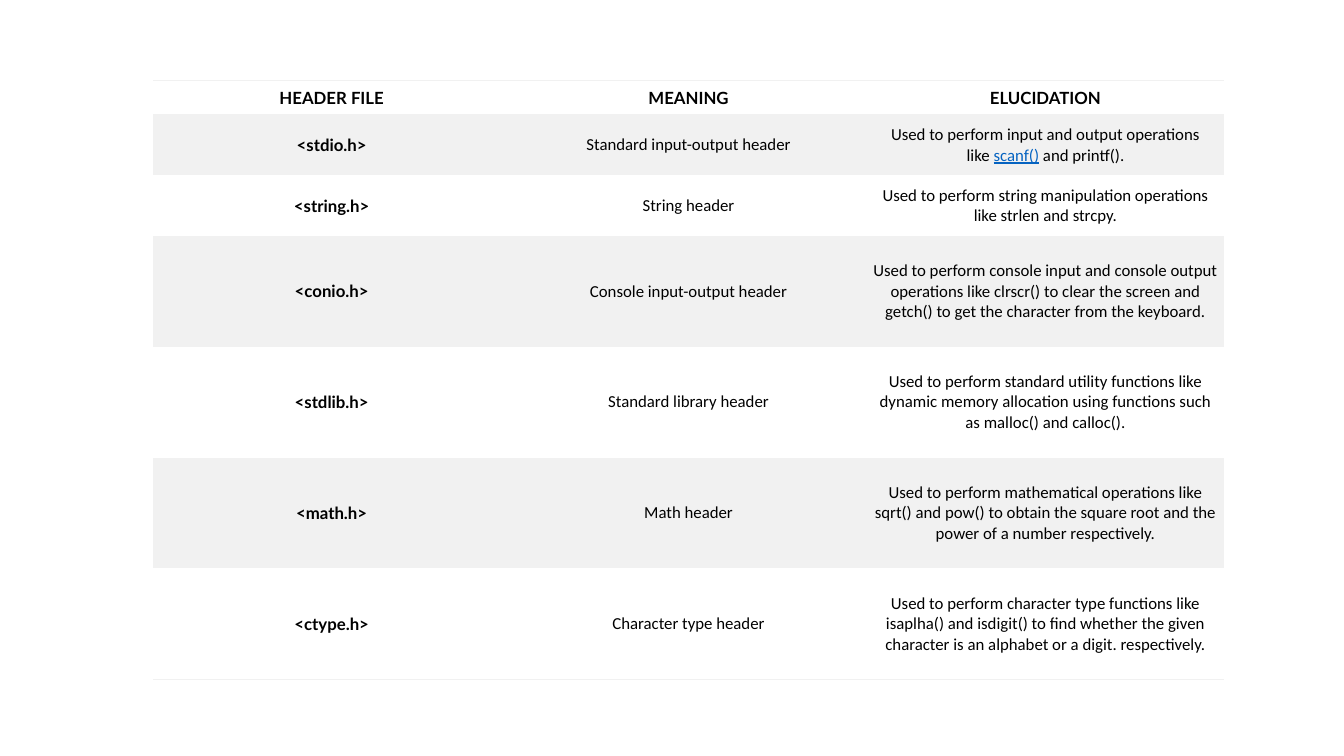
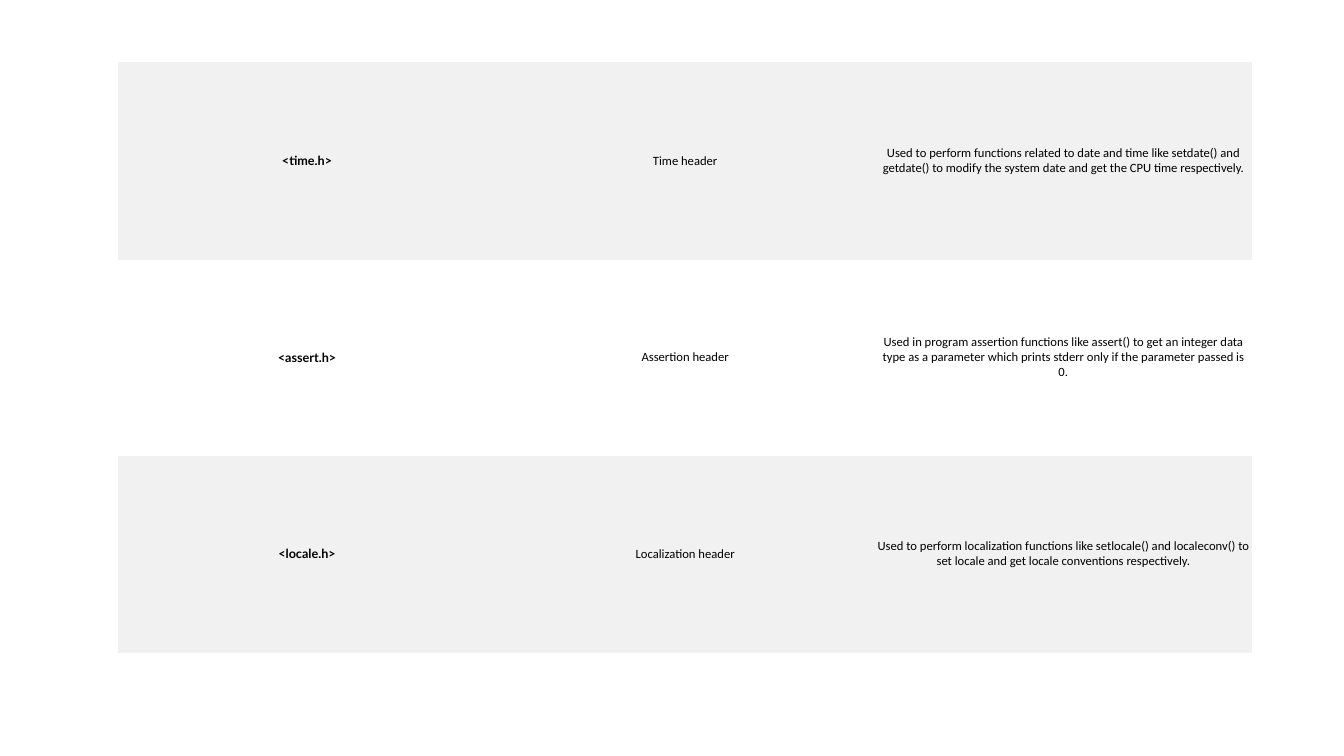
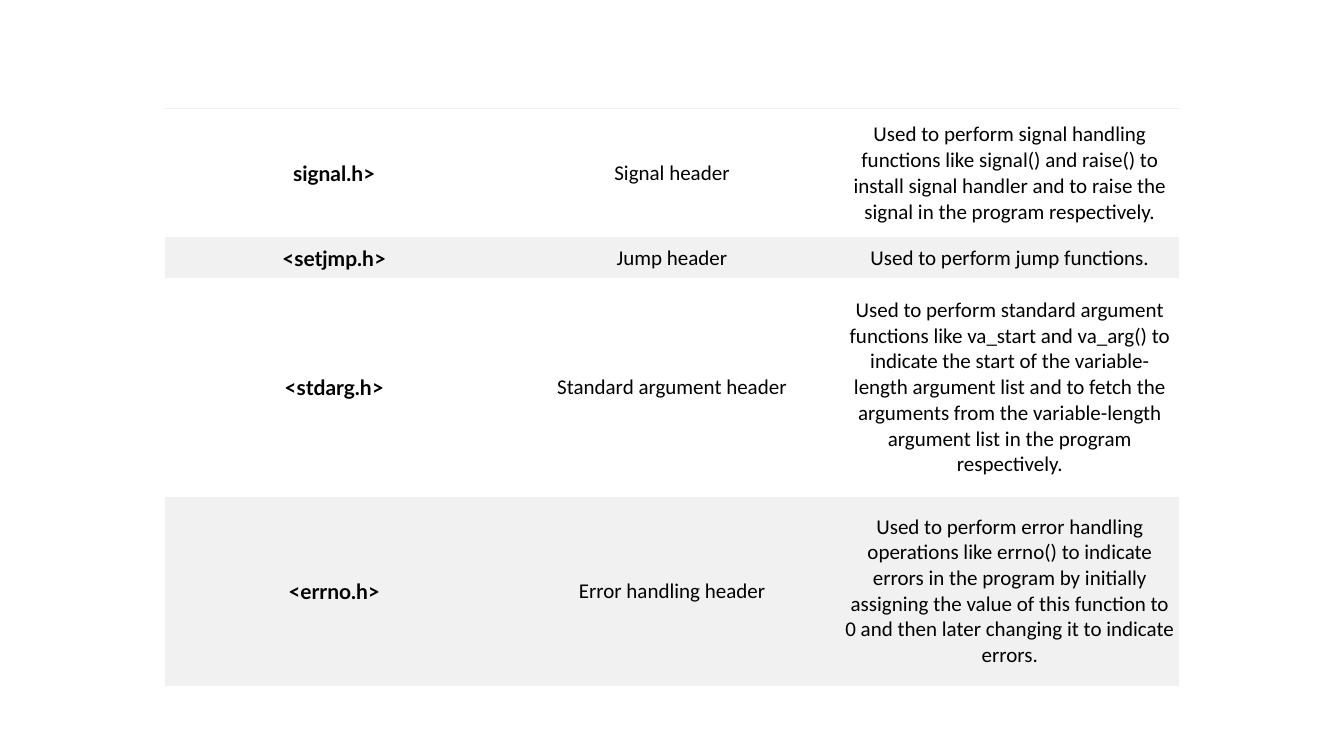
from lxml.etree import SubElement
from pptx import Presentation
from pptx.dml.color import RGBColor
from pptx.enum.text import MSO_ANCHOR, PP_ALIGN
from pptx.oxml.ns import qn
from pptx.util import Inches, Pt

COLORS = {"band": "F1F1F1", "plain": "FFFFFF", "text": "000000", "link": "0563C1"}
HEAD_FONT, BODY_FONT = "Lato", "Calibri"
NO_STYLE = "{2D5ABB26-0587-4C30-8999-92F81FD0307C}"
LINK = "scanf()"

TABLES = [
    {
        "at": (1.52, 0.8), "col": 3.54, "heights": [0.34] + [0.6] * 2 + [1.1] * 4,
        "size": 12, "inset": 0.04, "header": True, "first_fill": "plain",
        "rows": [
            ("HEADER FILE", "MEANING", "ELUCIDATION"),
            ("<stdio.h>", "Standard input-output header",
             "Used to perform input and output operations like\u00a0scanf()\u00a0and printf()."),
            ("<string.h>", "String header",
             "Used to perform string manipulation operations like strlen and strcpy."),
            ("<conio.h>", "Console input-output header",
             "Used to perform console input and console output operations like clrscr() "
             "to clear the screen and getch() to get the character from the keyboard."),
            ("<stdlib.h>", "Standard library header",
             "Used to perform standard utility functions like dynamic memory allocation "
             "using functions such as malloc() and calloc()."),
            ("<math.h>", "Math header",
             "Used to perform mathematical operations like sqrt() and pow() to obtain "
             "the square root and the power of a number respectively."),
            ("<ctype.h>", "Character type header",
             "Used to perform character type functions like isaplha() and isdigit() to find "
             "whether the given character is an alphabet or a digit. respectively."),
        ],
    },
    {
        "at": (1.17, 0.62), "col": 3.75, "heights": [1.95] * 3,
        "size": 9, "inset": 0.03, "header": False, "first_fill": "band",
        "rows": [
            ("<time.h>", "Time header",
             "Used to perform functions related to date and time like setdate() and getdate() "
             "to modify the system date and get the CPU time respectively."),
            ("<assert.h>", "Assertion header",
             "Used in program assertion functions like assert() to get an integer data type "
             "as a parameter which prints stderr only if the parameter passed is 0."),
            ("<locale.h>", "Localization header",
             "Used to perform localization functions like setlocale() and localeconv() "
             "to set locale and get locale conventions respectively."),
        ],
    },
    {
        "at": (1.64, 1.08), "col": 3.35, "heights": [1.28, 0.4, 2.17, 1.87],
        "size": 15, "inset": 0.04, "header": False, "first_fill": "plain",
        "rows": [
            ("signal.h>", "Signal header",
             "Used to perform signal handling functions like signal() and raise() to install "
             "signal handler and to raise the signal in the program respectively."),
            ("<setjmp.h>", "Jump header", "Used to perform jump functions."),
            ("<stdarg.h>", "Standard argument header",
             "Used to perform standard argument functions like va_start and va_arg() to "
             "indicate the start of the variable-length argument list and to fetch the "
             "arguments from the variable-length argument list in the program respectively."),
            ("<errno.h>", "Error handling header",
             "Used to perform error handling operations like errno() to indicate errors in "
             "the program by initially assigning the value of this function to 0 and then "
             "later changing it to indicate errors."),
        ],
    },
]


def add_border(cell, side):
    ln = SubElement(cell._tc.get_or_add_tcPr(), qn(f"a:{side}"), w=str(Pt(0.75)))
    fill = SubElement(ln, qn("a:solidFill"))
    SubElement(fill, qn("a:srgbClr"), val=COLORS["band"])


def fill_cell(cell, text, bold, size):
    cell.vertical_anchor = MSO_ANCHOR.MIDDLE
    p = cell.text_frame.paragraphs[0]
    p.alignment = PP_ALIGN.CENTER
    for part in filter(None, text.partition(LINK)):
        r = p.add_run()
        r.text = part
        r.font.name = HEAD_FONT if bold else BODY_FONT
        r.font.size = Pt(size)
        r.font.bold = bold
        r.font.underline = part == LINK
        r.font.color.rgb = RGBColor.from_string(COLORS["link" if part == LINK else "text"])


prs = Presentation()
prs.slide_width, prs.slide_height = Inches(13.33), Inches(7.5)

for spec_table in TABLES:
    s = prs.slides.add_slide(prs.slide_layouts[6])
    rows, heights = spec_table["rows"], spec_table["heights"]
    left, top = spec_table["at"]
    frame = s.shapes.add_table(len(rows), 3, Inches(left), Inches(top),
                               Inches(3 * spec_table["col"]), Inches(sum(heights)))
    table = frame.table
    table.first_row = table.horz_banding = False
    table._tbl.tblPr.find(qn("a:tableStyleId")).text = NO_STYLE
    for column in table.columns:
        column.width = Inches(spec_table["col"])
    fills = ["plain", "band"] if spec_table["first_fill"] == "plain" else ["band", "plain"]
    for i, (row, height) in enumerate(zip(rows, heights)):
        table.rows[i].height = Inches(height)
        for j, text in enumerate(row):
            cell = table.cell(i, j)
            cell.margin_left = cell.margin_right = Inches(spec_table["inset"])
            cell.margin_top = cell.margin_bottom = Inches(spec_table["inset"])
            if i == 0:
                add_border(cell, "lnT")
            if i in (0, len(rows) - 1):
                add_border(cell, "lnB")
            cell.fill.solid()
            cell.fill.fore_color.rgb = RGBColor.from_string(COLORS[fills[i % 2]])
            bold = j == 0 or (i == 0 and spec_table["header"])
            fill_cell(cell, text, bold, spec_table["size"])

prs.save("out.pptx")
